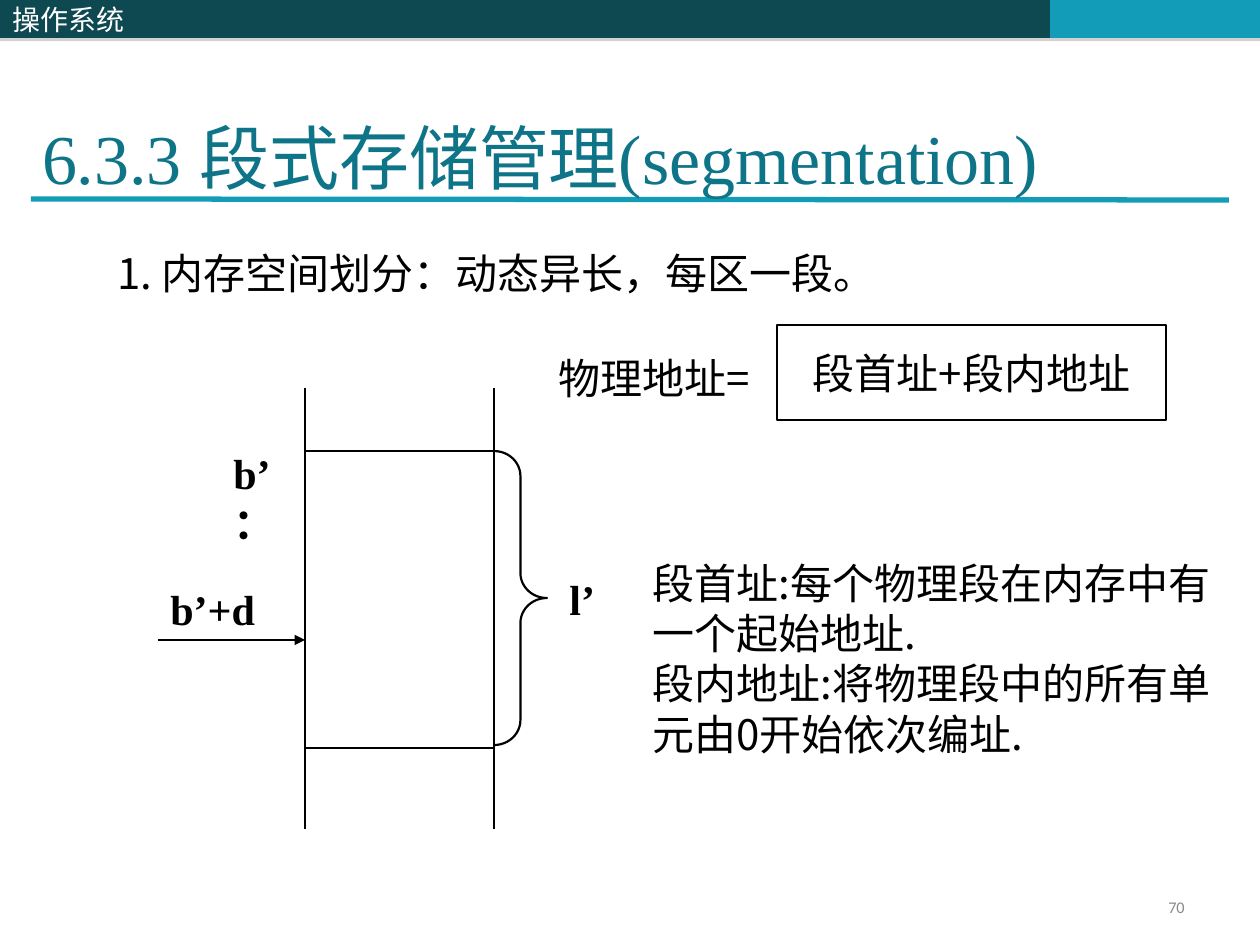
from lxml import etree
from pptx import Presentation
from pptx.dml.color import RGBColor
from pptx.enum.shapes import MSO_CONNECTOR, MSO_SHAPE
from pptx.enum.text import MSO_ANCHOR, PP_ALIGN
from pptx.oxml import parse_xml
from pptx.oxml.ns import nsdecls, qn
from pptx.util import Pt

PX = 914400 / 126  # EMU per px
RECT, BRACE = MSO_SHAPE.RECTANGLE, MSO_SHAPE.RIGHT_BRACE
STRAIGHT = MSO_CONNECTOR.STRAIGHT
TOP, MIDDLE, BOTTOM = MSO_ANCHOR.TOP, MSO_ANCHOR.MIDDLE, MSO_ANCHOR.BOTTOM
LEFT, CENTER, RIGHT = PP_ALIGN.LEFT, PP_ALIGN.CENTER, PP_ALIGN.RIGHT

BLACK = RGBColor(0x00, 0x00, 0x00)
WHITE = RGBColor(0xFF, 0xFF, 0xFF)
DARK = RGBColor(0x0E, 0x48, 0x51)
TEAL = RGBColor(0x13, 0x9C, 0xB7)
TITLE = RGBColor(0x0E, 0x75, 0x89)
GREY = RGBColor(0x89, 0x89, 0x89)
SANS, SERIF, SMALL = "Noto Sans CJK SC", "Times New Roman", "Calibri"


def emu(*lengths):
    return [round(n * PX) for n in lengths]


def write(sp, lines, size=24, font=SANS, color=BLACK, bold=False,
          align=LEFT, anchor=TOP, wrap=True, spacing=None):
    tf = sp.text_frame
    tf.word_wrap = wrap
    tf.vertical_anchor = anchor
    for i, line in enumerate(lines):
        p = tf.paragraphs[0] if i == 0 else tf.add_paragraph()
        p.text = line
        p.alignment = align
        p.line_spacing = spacing
        p.font.size = Pt(size)
        p.font.bold = bold
        p.font.color.rgb = color
        p.font.name = font
        # East Asian glyphs
        ea = etree.SubElement(p._p.pPr.find(qn("a:defRPr")), qn("a:ea"))
        ea.set("typeface", SANS)
    return tf


def add_text(shapes, box, lines, **style):
    return write(shapes.add_textbox(*emu(*box)), lines, **style)


def add_box(shapes, box, fill=None, line=None, width=1.25, kind=RECT):
    sp = shapes.add_shape(kind, *emu(*box))
    sp.shadow.inherit = False
    if fill is None:
        sp.fill.background()
    else:
        sp.fill.solid()
        sp.fill.fore_color.rgb = fill
    if line is None:
        sp.line.fill.background()
    else:
        sp.line.color.rgb = line
        sp.line.width = Pt(width)
    return sp


def add_line(shapes, x1, y1, x2, y2, color=BLACK, width=1.25, arrow=False):
    ln = shapes.add_connector(STRAIGHT, *emu(x1, y1, x2, y2))
    ln.line.color.rgb = color
    ln.line.width = Pt(width)
    if arrow:
        tail = etree.SubElement(ln.line._get_or_add_ln(), qn("a:tailEnd"))
        tail.set("type", "triangle")
    etree.SubElement(ln._element.spPr, qn("a:effectLst"))


def add_drop_shadow(sp):
    spPr = sp._element.spPr
    spPr.remove(spPr.find(qn("a:effectLst")))
    spPr.append(parse_xml(
        f'<a:effectLst {nsdecls("a")}>'
        '<a:outerShdw dist="22860" dir="5400000" rotWithShape="0">'
        '<a:srgbClr val="808080"><a:alpha val="35000"/></a:srgbClr>'
        '</a:outerShdw></a:effectLst>'))


def header(shapes, x, y, w, h):
    dark_w, label_w = w * 5 // 6, 514
    bands = [(label_w, dark_w, DARK), (dark_w, w, TEAL), (0, label_w, DARK)]
    for start, end, color in bands:
        sp = add_box(shapes, (x + start, y, end - start, h), color)
        add_drop_shadow(sp)
    # Course name sits on the last band
    write(sp, ["操作系统"], size=16, color=WHITE, anchor=MIDDLE)


def title(shapes, x, y, w, h):
    add_line(shapes, x - 11, y + h, x + w + 11, y + h + 1, TEAL, 3)
    tf = add_text(shapes, (x, y, w, h), ["6.3.3 段式存储管理(segmentation)"],
                  size=40, font=SERIF, color=TITLE, anchor=BOTTOM)
    tf.margin_left = tf.margin_right = tf.margin_top = tf.margin_bottom = 0


def address_formula(shapes, x, y, w, h):
    sp = add_box(shapes, (x + 231, y, w - 231, h), WHITE, BLACK, 0.75)
    write(sp, ["段首址+段内地址"], align=CENTER, anchor=MIDDLE, wrap=False)
    add_text(shapes, (x, y + 21, 252, 63), ["物理地址="])


def memory_diagram(shapes, x, y, w, h):
    shapes = shapes.add_group_shape().shapes
    left, right = x + 147, x + 336
    seg_y = y + 63
    # Memory column and the segment inside it
    add_box(shapes, (left, seg_y, right - left, 297), WHITE, BLACK)
    for side in (right, left):
        add_line(shapes, side, y, side, y + h)
    # Segment length
    brace = add_box(shapes, (right, seg_y, 53, 294), line=BLACK, kind=BRACE)
    brace.adjustments[0] = 0.47
    # Address pointer
    add_line(shapes, x, y + 252, left, y + 252, arrow=True)
    labels = [("b’：", 63, 53, 74), ("l’", w - 84, 179, 84),
              ("b’+d", 0, 189, 126)]
    for text, dx, dy, width in labels:
        add_text(shapes, (x + dx, y + dy, width, 63), [text],
                 font=SERIF, bold=True)


def definitions(shapes, x, y, w, h):
    add_text(shapes, (x, y, w, h),
             ["段首址:每个物理段在内存中有一个起始地址.",
              "段内地址:将物理段中的所有单元由0开始依次编址."])


def main():
    prs = Presentation()
    prs.slide_width, prs.slide_height = emu(1260, 945)
    shapes = prs.slides.add_slide(prs.slide_layouts[6]).shapes

    header(shapes, 0, 0, 1260, 38)
    title(shapes, 42, 115, 1176, 84)
    add_text(shapes, (105, 241, 825, 63),
             ["1. 内存空间划分：动态异长，每区一段。"], wrap=False)
    address_formula(shapes, 546, 325, 620, 95)
    memory_diagram(shapes, 158, 388, 483, 441)
    definitions(shapes, 640, 551, 596, 214)
    # Page number
    add_text(shapes, (903, 892, 294, 34), ["70"], size=9.3, font=SMALL,
             color=GREY, align=RIGHT, anchor=MIDDLE, spacing=0.8)

    prs.save("out.pptx")


if __name__ == "__main__":
    main()
